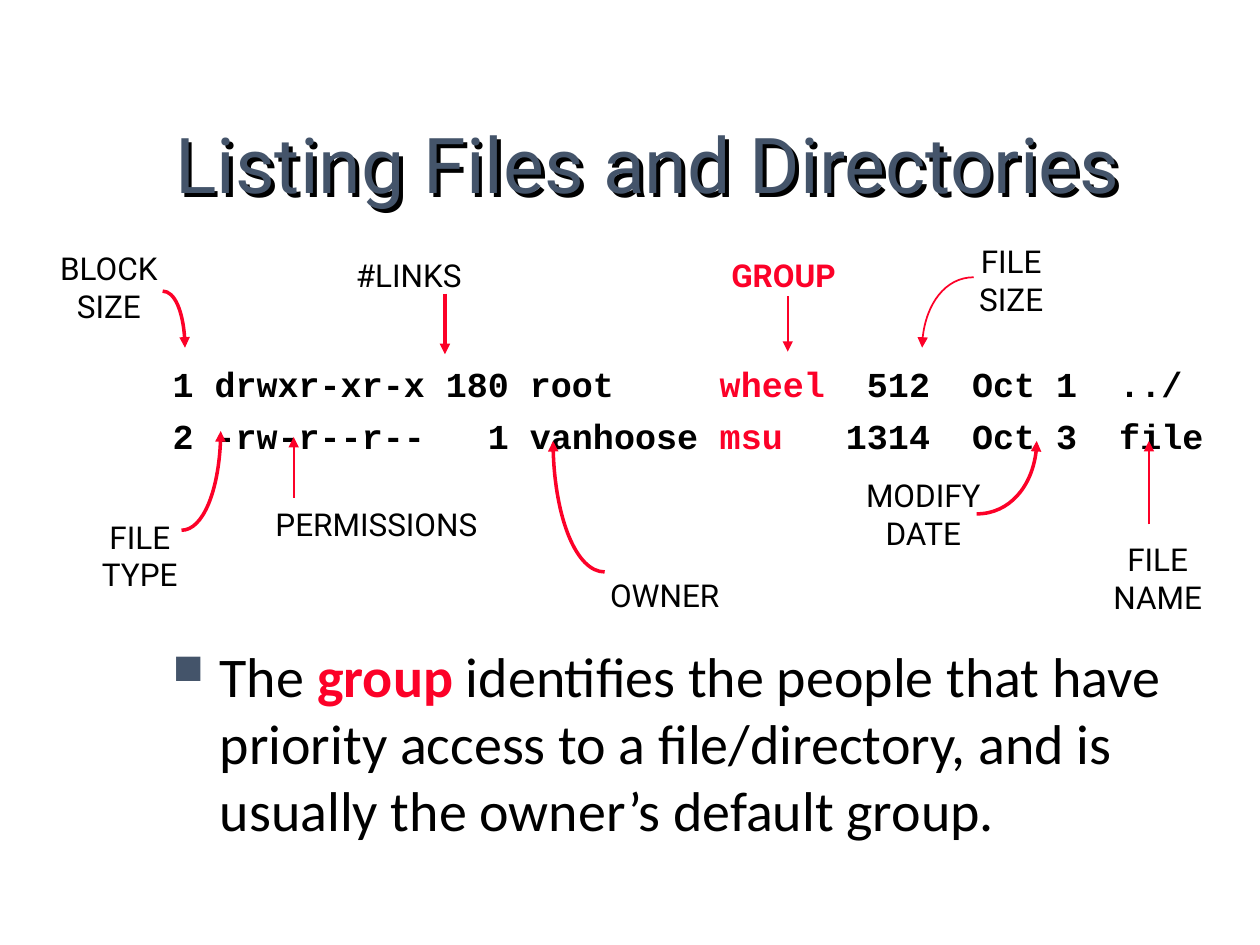
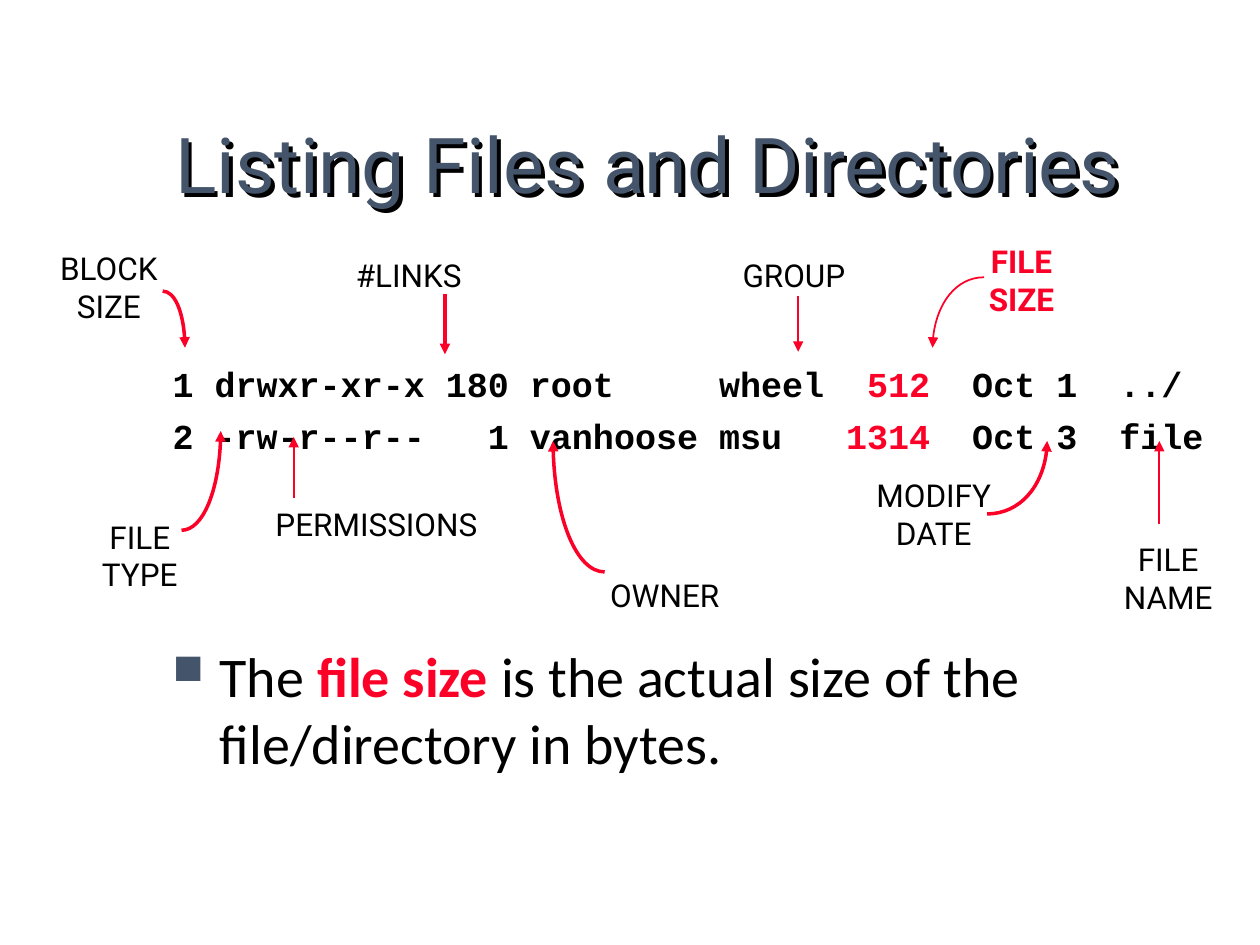
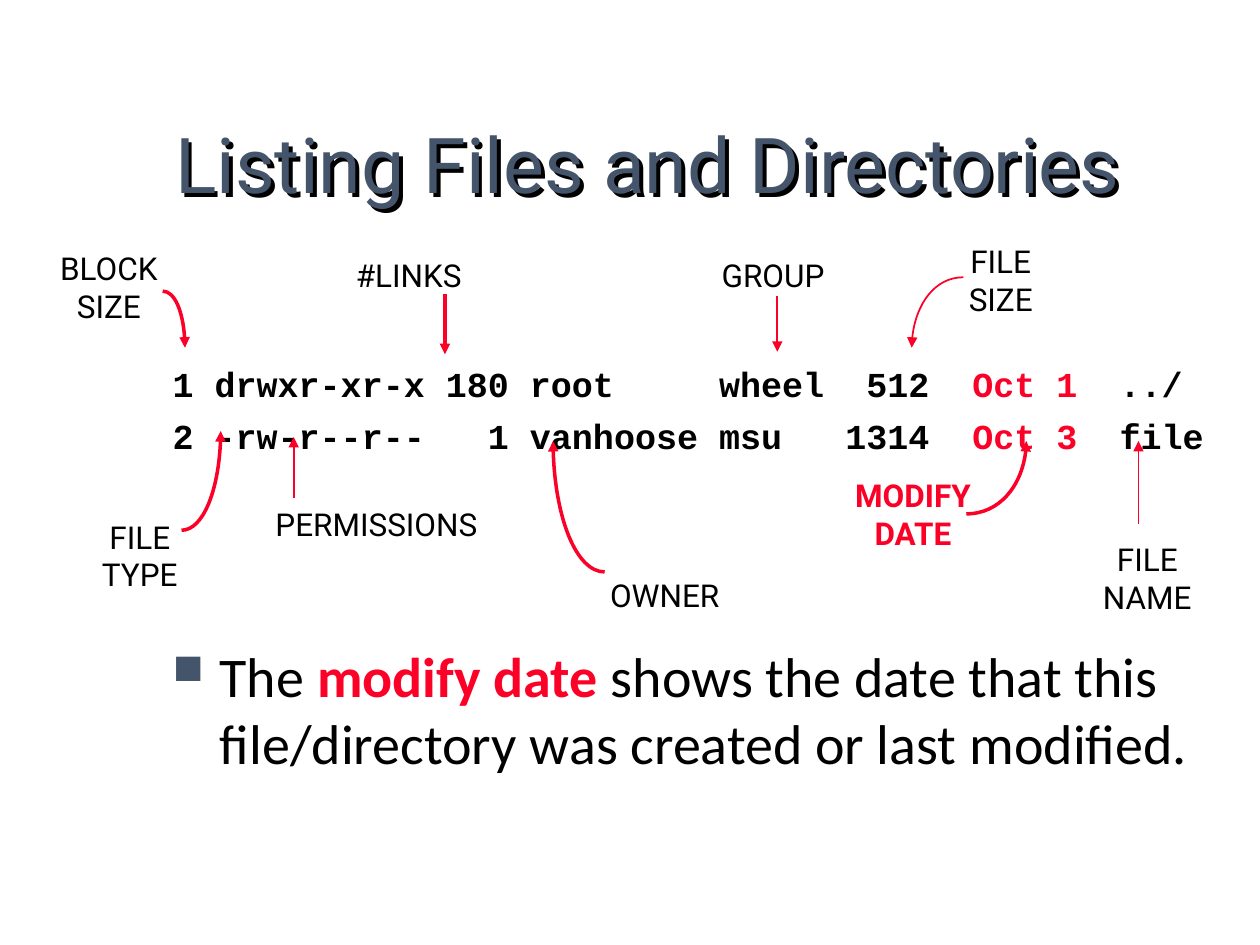
import lxml.etree
import pptx
import pptx.dml.color
import pptx.enum.shapes
import pptx.enum.text
import pptx.oxml.ns
import pptx.util

Cm = pptx.util.Cm
Pt = pptx.util.Pt
qn = pptx.oxml.ns.qn
PP_ALIGN = pptx.enum.text.PP_ALIGN
ANCHOR = pptx.enum.text.MSO_ANCHOR

BLACK = pptx.dml.color.RGBColor(0x00, 0x00, 0x00)
RED = pptx.dml.color.RGBColor(0xFC, 0x01, 0x28)
SLATE = pptx.dml.color.RGBColor(0x44, 0x54, 0x6A)

# Boxes are left, top, width, height in centimetres.
TITLE_BOX = (3.28, 1.7, 21.44, 3.18)
DIAGRAM_BOX = (0.85, 4.75, 23.9, 7.75)
LISTING_BOX = (3.23, 7.19, 21.64, 2.1)
DEFINITION_BOX = (3.23, 12.8, 21.64, 4.6)
ONE_LINE, TWO_LINES = 1.02, 1.78
ARC_RATIO = 0.55

LISTING = (
    "1 drwxr-xr-x 180 root     wheel  512  Oct 1  ../",
    "2 -rw-r--r--   1 vanhoose msu   1314  Oct 3  file",
)

# Label, left, top, width, height, wraps; measured from the diagram box.
LEFT_LABELS = (
    ("BLOCK\nSIZE", 0.01, 0.15, 2.67, TWO_LINES, False),
    ("PERMISSIONS", 4.43, 5.31, 4.62, ONE_LINE, False),
    ("FILE\nTYPE", 0.93, 5.56, 2.08, TWO_LINES, False),
    ("#LINKS", 4.81, 0.28, 5.16, ONE_LINE, True),
    ("OWNER", 11.14, 6.73, 2.82, ONE_LINE, False),
)
RIGHT_LABELS = (
    ("GROUP", 13.55, 0.28, 2.79, ONE_LINE, False),
    ("FILE SIZE", 18.25, 0, 2.57, TWO_LINES, True),
    ("MODIFY DATE", 16.14, 4.72, 3.25, TWO_LINES, True),
    ("FILE NAME", 21.07, 6.02, 2.84, TWO_LINES, True),
)
# Start x, start y, tip x, tip y, line width in points.
LEFT_ARROWS = (
    (2.43, 1.12, 2.88, 2.26, 2),
    (5.07, 5.28, 5.07, 4.06, 1),
    (8.12, 1.17, 8.12, 2.39, 2),
    (2.81, 5.94, 3.6, 3.94, 2),
    (11.34, 6.78, 10.3, 4.14, 2),
)
RIGHT_ARROWS = (
    (15.03, 1.22, 15.03, 2.34, 1),
    (18.84, 5.61, 20.05, 4.14, 2),
    (18.78, 0.84, 17.74, 2.26, 1),
    (22.31, 5.82, 22.31, 4.14, 1),
)

# Label, its values in the listing, term, definition, shift of the right half.
TOPICS = (
    ("GROUP", ("wheel", "msu"), "group",
     "The group identifies the people that have priority access to a "
     "file/directory, and is usually the owner’s default group.", 0),
    ("FILE SIZE", ("512", "1314"), "file size",
     "The file size is the actual size of the file/directory in bytes.", 0.21),
    ("MODIFY DATE", ("Oct 1", "Oct 3"), "modify date",
     "The modify date shows the date that this file/directory was created "
     "or last modified.", -0.21),
)


def add_element(parent, tag, **attributes):
    element = lxml.etree.SubElement(parent, qn(tag))
    for name, value in attributes.items():
        element.set(name, str(value))
    return element


def add_text(page, box, text, *, size, font, color=BLACK, bold=False,
             marked=(), align=PP_ALIGN.LEFT, anchor=ANCHOR.TOP, wrap=True,
             gap=0, bullet=False):
    """Add one paragraph per line; marked holds the red bold words, by line."""
    shape = page.shapes.add_textbox(*map(Cm, box))
    frame = shape.text_frame
    frame.word_wrap = wrap
    frame.vertical_anchor = anchor
    for index, line in enumerate(text.split("\n")):
        para = frame.paragraphs[0] if index == 0 else frame.add_paragraph()
        if bullet:
            add_bullet(para)
        para.alignment = align
        if index:
            para.space_before = Pt(gap)
        word = marked[index] if marked else line
        for part in filter(None, line.partition(word)):
            span = para.add_run()
            span.text = part
            is_marked = bool(marked) and part == word
            span.font.size = Pt(size)
            span.font.name = font
            span.font.bold = bold or is_marked
            span.font.color.rgb = RED if is_marked else color
    return shape


def add_bullet(para):
    properties = para._p.get_or_add_pPr()
    properties.set("marL", str(Cm(0.95)))
    properties.set("indent", str(-Cm(0.95)))
    add_element(add_element(properties, "a:buClr"), "a:srgbClr", val=SLATE)
    add_element(properties, "a:buSzPct", val=75000)
    add_element(properties, "a:buChar", char="■")


def add_title(page, box):
    title = add_text(page, box, "Listing Files and Directories", size=44,
                     font="Roboto", color=SLATE, anchor=ANCHOR.MIDDLE)
    effects = add_element(title._element.spPr, "a:effectLst")
    shadow = add_element(effects, "a:outerShdw", blurRad=0, dist=Pt(3.2),
                         dir=2700000, algn="ctr", rotWithShape=0)
    add_element(shadow, "a:srgbClr", val=BLACK)


def add_curve(page, start_x, start_y, tip_x, tip_y):
    """Draw a quarter ellipse that starts level and ends upright."""
    points = (
        (start_x + ARC_RATIO * (tip_x - start_x), start_y),
        (tip_x, tip_y - ARC_RATIO * (tip_y - start_y)),
        (tip_x, tip_y),
    )
    builder = page.shapes.build_freeform(Cm(start_x), Cm(start_y))
    builder.add_line_segments([tuple(map(Cm, point)) for point in points],
                              close=False)
    curve = builder.convert_to_shape()
    curve.fill.background()
    outline = curve._element.find(".//" + qn("a:path"))
    segments = outline.findall(qn("a:lnTo"))
    bezier = add_element(outline, "a:cubicBezTo")
    for segment in segments:
        bezier.append(segment[0])
        outline.remove(segment)
    return curve


def add_arrow(page, start_x, start_y, tip_x, tip_y, width):
    if start_x == tip_x:
        arrow = page.shapes.add_connector(
            pptx.enum.shapes.MSO_CONNECTOR.STRAIGHT,
            *map(Cm, (start_x, start_y, tip_x, tip_y)))
    else:
        arrow = add_curve(page, start_x, start_y, tip_x, tip_y)
    arrow.line.color.rgb = RED
    arrow.line.width = Pt(width)
    add_element(arrow.line._get_or_add_ln(), "a:tailEnd", type="triangle")
    add_element(arrow._element.spPr, "a:effectLst")


def add_callouts(page, box, labels, arrows, active):
    left, top = box[:2]
    for text, x, y, width, height, wrap in labels:
        is_active = text == active
        add_text(page, (left + x, top + y, width, height), text, size=18,
                 font="Roboto", color=RED if is_active else BLACK,
                 bold=is_active, align=PP_ALIGN.CENTER, wrap=wrap)
    for start_x, start_y, tip_x, tip_y, width in arrows:
        add_arrow(page, left + start_x, top + start_y,
                  left + tip_x, top + tip_y, width)


def add_topic_page(deck, label, values, term, definition, shift):
    page = deck.slides.add_slide(deck.slide_layouts[6])
    add_title(page, TITLE_BOX)
    add_text(page, LISTING_BOX, "\n".join(LISTING), size=20,
             font="Courier New", bold=True, marked=values, gap=5.3)
    add_text(page, DEFINITION_BOX, definition, size=32, font="Calibri",
             marked=(term,), bullet=True)
    add_callouts(page, DIAGRAM_BOX, LEFT_LABELS, LEFT_ARROWS, label)
    shifted_box = (DIAGRAM_BOX[0] + shift, *DIAGRAM_BOX[1:])
    add_callouts(page, shifted_box, RIGHT_LABELS, RIGHT_ARROWS, label)


def main():
    deck = pptx.Presentation()
    deck.slide_width, deck.slide_height = Cm(25.4), Cm(19.05)
    for topic in TOPICS:
        add_topic_page(deck, *topic)
    deck.save("out.pptx")


if __name__ == "__main__":
    main()
